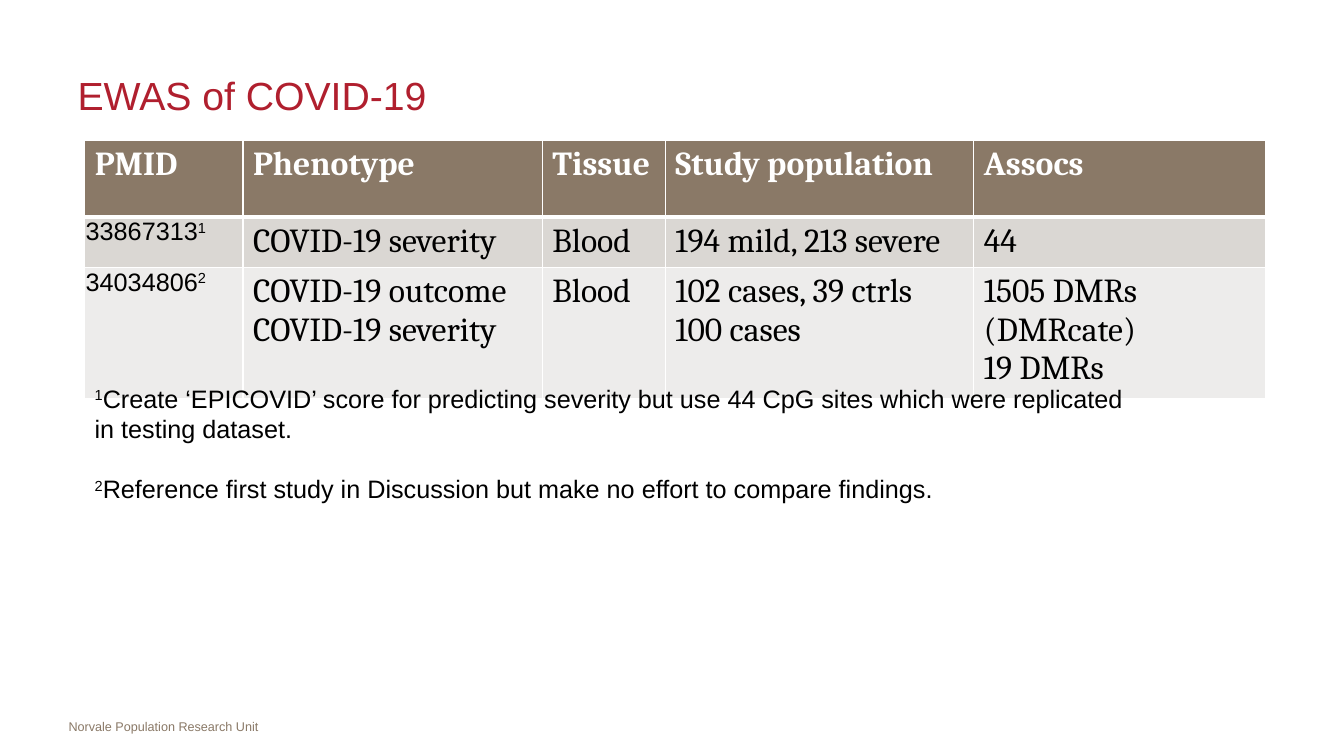
from lxml.etree import SubElement
from pptx import Presentation
from pptx.dml.color import RGBColor
from pptx.enum.text import MSO_ANCHOR, PP_ALIGN
from pptx.oxml.ns import qn
from pptx.util import Inches, Pt

COLORS = {
    "title": "B01F2E",
    "brown": "8A7967",
    "white": "FFFFFF",
    "black": "000000",
    "odd_row": "DAD7D3",
    "even_row": "EDECEB",
}
TABLE_HEIGHT = 1.9
COLUMN_WIDTHS = [1.57, 2.97, 1.22, 3.06, 2.89]
ROW_HEIGHTS = [0.76, 0.44, 0.44]
ROW_FILLS = ["brown", "odd_row", "even_row"]
HEADERS = ["PMID", "Phenotype", "Tissue", "Study population", "Assocs"]
STUDIES = [
    [("33867313", "1"), "COVID-19 severity", "Blood", "194 mild, 213 severe", "44"],
    [
        ("34034806", "2"),
        "COVID-19 outcome\nCOVID-19 severity",
        "Blood",
        "102 cases, 39 ctrls\n100 cases",
        "1505 DMRs (DMRcate)\n19 DMRs",
    ],
]
FOOTNOTES = [
    ("1", "Create ‘EPICOVID’ score for predicting severity but use 44 CpG sites "
          "which were replicated in testing dataset."),
    ("2", "Reference first study in Discussion but make no effort to compare findings."),
]
HEADER_FORMAT = {"name": "Cambria", "size": Pt(24), "bold": True}
BODY_FORMAT = {"name": "Cambria", "size": Pt(24), "bold": False}
NOTE_FORMAT = {"name": "Arial", "size": Pt(18), "bold": False}
TITLE_FORMAT = {"name": "Arial", "size": Pt(28), "bold": False}
FOOTER_FORMAT = {"name": "Arial", "size": Pt(9), "bold": False}


def color(name):
    return RGBColor.from_string(COLORS[name])


def set_attributes(target, values):
    for name, value in values.items():
        setattr(target, name, value)


def add_run(paragraph, text, font_format, color_name, superscript=False):
    run = paragraph.add_run()
    run.text = text
    set_attributes(run.font, font_format)
    run.font.color.rgb = color(color_name)
    if superscript:
        run.font._element.set("baseline", "30000")


def place(shape, left, top, width, height):
    bounds = {"left": left, "top": top, "width": width, "height": height}
    set_attributes(shape, {name: Inches(value) for name, value in bounds.items()})


def add_title(slide, text):
    title = slide.shapes.title
    place(title, 0.67, 0.5, 11.89, 0.89)
    title.text_frame.vertical_anchor = MSO_ANCHOR.MIDDLE
    paragraph = title.text_frame.paragraphs[0]
    paragraph.alignment = PP_ALIGN.LEFT
    add_run(paragraph, text, TITLE_FORMAT, "title")


def add_text_frame(slide, left, top, width, height):
    box = slide.shapes.add_textbox(*map(Inches, (left, top, width, height)))
    box.text_frame.word_wrap = True
    return box.text_frame


def add_footer(slide, text):
    frame = add_text_frame(slide, 0.68, 7.08, 3.22, 0.25)
    set_attributes(frame, {"margin_left": 0, "margin_right": 0})
    add_run(frame.paragraphs[0], text, FOOTER_FORMAT, "brown")


def add_footnotes(slide):
    frame = add_text_frame(slide, 0.84, 3.75, 10.55, 1.31)
    for index, (mark, text) in enumerate(FOOTNOTES):
        paragraph = frame.add_paragraph() if index else frame.paragraphs[0]
        paragraph.space_before = Pt(21.5 * index)
        add_run(paragraph, mark, NOTE_FORMAT, "black", superscript=True)
        add_run(paragraph, text, NOTE_FORMAT, "black")


def set_borders(cell, top, bottom):
    properties = cell._tc.get_or_add_tcPr()
    for side, width in {"L": 1, "R": 1, "T": top, "B": bottom}.items():
        line = SubElement(properties, qn(f"a:ln{side}"), w=str(Pt(width)))
        fill = SubElement(line, qn("a:solidFill"))
        SubElement(fill, qn("a:srgbClr"), val=COLORS["white"])


def fill_cell(cell, content, font_format, color_name):
    frame = cell.text_frame
    if isinstance(content, tuple):
        identifier, mark = content
        margins = dict.fromkeys(("margin_left", "margin_top", "margin_right"), Inches(0.01))
        set_attributes(cell, {**margins, "margin_bottom": 0})
        add_run(frame.paragraphs[0], identifier, NOTE_FORMAT, color_name)
        add_run(frame.paragraphs[0], mark, NOTE_FORMAT, color_name, superscript=True)
        return
    for index, text in enumerate(content.split("\n")):
        paragraph = frame.add_paragraph() if index else frame.paragraphs[0]
        add_run(paragraph, text, font_format, color_name)


def add_study_table(slide):
    rows = [HEADERS, *STUDIES]
    bounds = map(Inches, (0.84, 1.39, sum(COLUMN_WIDTHS), TABLE_HEIGHT))
    graphic_frame = slide.shapes.add_table(len(rows), len(HEADERS), *bounds)
    table = graphic_frame.table
    for column, width in zip(table.columns, COLUMN_WIDTHS):
        column.width = Inches(width)
    for row_index, contents in enumerate(rows):
        is_header = row_index == 0
        table.rows[row_index].height = Inches(ROW_HEIGHTS[row_index])
        font_format = HEADER_FORMAT if is_header else BODY_FORMAT
        text_color = "white" if is_header else "black"
        for column_index, content in enumerate(contents):
            cell = table.cell(row_index, column_index)
            set_borders(cell, 3 if row_index == 1 else 1, 3 if is_header else 1)
            cell.fill.solid()
            cell.fill.fore_color.rgb = color(ROW_FILLS[row_index])
            fill_cell(cell, content, font_format, text_color)
    graphic_frame.height = Inches(TABLE_HEIGHT)


def main():
    presentation = Presentation()
    set_attributes(presentation, {"slide_width": Inches(13.33), "slide_height": Inches(7.5)})
    slide = presentation.slides.add_slide(presentation.slide_layouts[5])
    add_footer(slide, "Norvale Population Research Unit")
    add_title(slide, "EWAS of COVID-19")
    add_study_table(slide)
    add_footnotes(slide)
    presentation.save("out.pptx")


if __name__ == "__main__":
    main()
